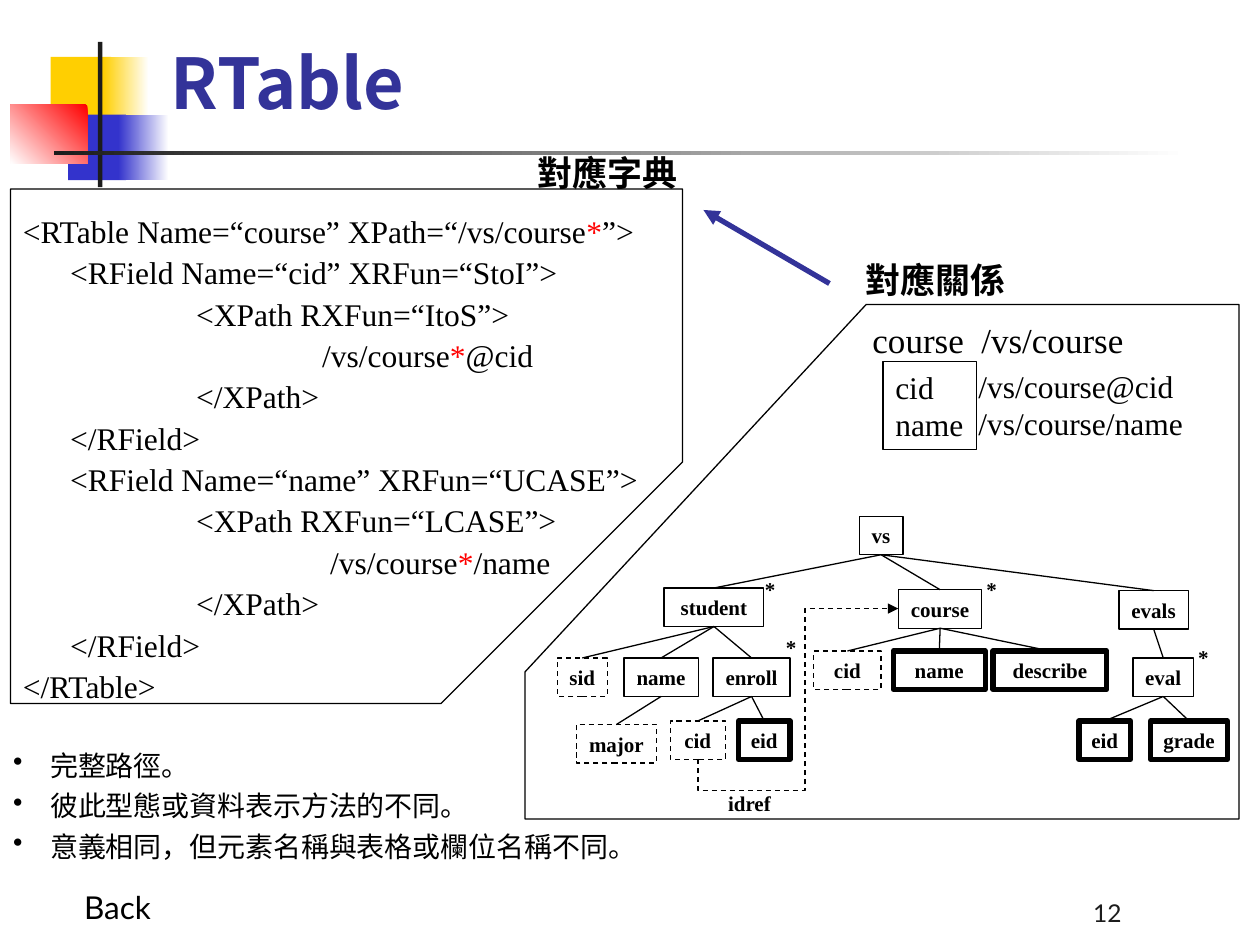
from lxml import etree
from pptx import Presentation
from pptx.dml.color import RGBColor
from pptx.enum import dml, shapes, text
from pptx.oxml import ns
from pptx.util import Pt

THEME = {
    "ink": "000000", "dark": "1C1C1C", "navy": "333399", "blue": "3333CC",
    "red": "FF0000", "gold": "FFCF01", "white": "FFFFFF",
    "serif": "Times New Roman", "sans": "Lato", "head": "Noto Sans CJK SC",
    "title": 40, "large": 20, "code": 18, "list": 16, "page": 14, "node": 12,
    "thin": 0.75, "thick": 3,
}

DECOR = [
    (29, 32.5, 34.5, 37.5, "gold", None, 0),
    (59, 32.5, 26, 37.5, "white", "gold", 180),
    (39, 65.5, 33, 37.5, "blue", None, 0),
    (67.5, 65.5, 29, 37.5, "white", "blue", 180),
    (6, 60, 44, 33.5, "red", "white", 225),
    (56, 24, 2.5, 83, "dark", None, 0),
    (31, 86.4, 648, 2.2, "white", "dark", 180),
]
CODE = [
    (0, "<RTable Name=“course” XPath=“/vs/course*”>"),
    (1, "<RField Name=“cid” XRFun=“StoI”>"),
    (2, "<XPath RXFun=“ItoS”>"),
    (3, "/vs/course*@cid"),
    (2, "</XPath>"), (1, "</RField>"),
    (1, "<RField Name=“name” XRFun=“UCASE”>"),
    (2, "<XPath RXFun=“LCASE”>"),
    (3, " /vs/course*/name"),
    (2, "</XPath>"), (1, "</RField>"), (0, "</RTable>"),
]
STEPS = [0, 27, 99, 171]
POINTS = [" 完整路徑。", " 彼此型態或資料表示方法的不同。",
          " 意義相同，但元素名稱與表格或欄位名稱不同。"]
FRAMES = [
    [(6, 402), (252, 402), (390, 264), (390, 108), (6, 108)],
    [(300, 384), (495, 174), (708, 174), (708, 468), (300, 468)],
]
TREE = [
    ("vs", "vs", None, "plain", 491, 295, 25),
    ("student", "student", "vs", "plain", 379.5, 336, 57),
    ("course", "course", "vs", "plain", 513.5, 337, 47.5),
    ("evals", "evals", "vs", "plain", 639.5, 337.5, 39.5),
    ("sid", "sid", "student", "dash", 318.5, 376, 28.5),
    ("sname", "name", "student", "plain", 356.5, 376, 42.5),
    ("enroll", "enroll", "student", "plain", 407.5, 376, 44),
    ("cid", "cid", "course", "dash", 465, 372, 38.5),
    ("cname", "name", "course", "bold", 510.5, 372, 52.5),
    ("about", "describe", "course", "bold", 567.5, 372, 65),
    ("eval", "eval", "evals", "plain", 647.5, 376, 34.5),
    ("major", "major", "sname", "dash", 329.5, 414, 45.5),
    ("ref", "cid", "enroll", "dash", 383, 412, 31.5),
    ("eid", "eid", "enroll", "bold", 422, 412, 29.5),
    ("test", "eid", "eval", "bold", 616.5, 412, 29.5),
    ("grade", "grade", "eval", "bold", 657.5, 412, 44),
]
STARS = [(430, 326), (442, 359), (556.5, 326), (677.5, 364.5)]

deck = Presentation()
deck.slide_width, deck.slide_height = Pt(720), Pt(540)
page = deck.slides.add_slide(deck.slide_layouts[6]).shapes


def tint(name):
    return RGBColor.from_string(THEME[name])


def tag(root, kind, **attrs):
    return etree.SubElement(root, ns.qn(kind), **attrs)


def block(x, y, w, h):
    box = page.add_shape(shapes.MSO_SHAPE.RECTANGLE, Pt(x), Pt(y), Pt(w), Pt(h))
    box.shadow.inherit = False
    box.fill.background()
    return box


def edge(line, width="thin", dash=False, color="ink"):
    line.color.rgb = tint(color)
    line.width = Pt(THEME[width])
    if dash:
        line.dash_style = dml.MSO_LINE.DASH


def say(words, x=0, y=0, w=0, h=0, size="node", face="serif", color="ink",
        bold=False, align="LEFT", anchor="TOP", wrap=False, gap=0, lead=None,
        steps=None, bullet=None, box=None):
    box = box or page.add_textbox(Pt(x), Pt(y), Pt(w), Pt(h))
    frame = box.text_frame
    frame.word_wrap = wrap
    frame.vertical_anchor = getattr(text.MSO_ANCHOR, anchor)
    for i, row in enumerate([words] if isinstance(words, str) else words):
        para = frame.add_paragraph() if i else frame.paragraphs[0]
        para.alignment = getattr(text.PP_ALIGN, align)
        para.space_before = Pt(gap if i else 0)
        if lead:
            para.line_spacing = lead
        props = para._p.get_or_add_pPr()
        if steps:
            props.set("marL", str(Pt(steps[i])))
        if bullet:
            props.set("indent", str(-Pt(steps[i])))
            tag(props, "a:buChar", char=bullet)
        for j, part in enumerate(row.split("\n")):
            if j:
                para.add_line_break()
            bits = part.replace("*", "\t*\t").split("\t") if lead else [part]
            for bit in bits:
                run = para.add_run()
                run.text = bit
                font = run.font
                font.name, font.size, font.bold = THEME[face], Pt(THEME[size]), bold
                font.color.rgb = tint("red" if lead and bit == "*" else color)
                tag(run._r.get_or_add_rPr(), "a:ea", typeface=THEME[face])


def link(kind="STRAIGHT", ends=(0, 0, 0, 0), head=False, **look):
    wire = page.add_connector(getattr(shapes.MSO_CONNECTOR, kind), *map(Pt, ends))
    edge(wire.line, **look)
    if head:
        tag(wire._element.spPr.find(ns.qn("a:ln")), "a:tailEnd", type="triangle")
    tag(wire._element.spPr, "a:effectLst")
    return wire


for x, y, w, h, first, last, turn in DECOR:
    box = block(x, y, w, h)
    box.line.fill.background()
    if last:
        box.fill.gradient()
        box.fill.gradient_angle = turn
        for stop, name in zip(box.fill.gradient_stops, (first, last)):
            stop.color.rgb = tint(name)
    else:
        box.fill.solid()
        box.fill.fore_color.rgb = tint(first)

for spots in FRAMES:
    spots = [(Pt(x), Pt(y)) for x, y in spots]
    pen = page.build_freeform(*spots[0])
    pen.add_line_segments(spots[1:], close=True)
    frame = pen.convert_to_shape()
    frame.shadow.inherit = False
    frame.fill.background()
    edge(frame.line)

say("RTable", 90.5, 12, 623.5, 62, size="title", face="head", color="navy",
    bold=True, anchor="BOTTOM", wrap=True)
say([row for _, row in CODE], 6, 120, 378, 282, size="code", wrap=True, gap=4.2,
    lead=0.9, steps=[STEPS[level] for level, _ in CODE])
say(POINTS, 0.5, 424, 359.5, 73, size="list", face="sans", wrap=True, gap=4,
    steps=[17] * len(POINTS), bullet="•")
say("Back", 41, 504, 54, 29, size="code", face="sans")
say("12", 498, 497.5, 150, 36, size="page", face="sans", color="dark",
    align="RIGHT", anchor="BOTTOM", wrap=True)
for label, x, y in [("對應字典", 300, 83), ("對應關係", 487.5, 144)]:
    say(label, x, y, 94.5, 31.5, size="large", face="sans", bold=True)
say("course  /vs/course", 491.5, 178.5, 158, 31.5, size="large")
say("/vs/course@cid\n/vs/course/name", 552, 206, 168, 50.5, size="code", wrap=True)
box = block(504.5, 206.5, 53.5, 50.5)
edge(box.line)
say("cid\nname", size="code", box=box)

nodes = {}
for key, label, above, style, x, y, w in TREE:
    box = nodes[key] = block(x, y, w, 22)
    edge(box.line, "thick" if style == "bold" else "thin", style == "dash")
    say(label, bold=True, align="CENTER", anchor="MIDDLE", box=box)
    if above:
        wire = link()
        wire.begin_connect(nodes[above], 2)
        wire.end_connect(box, 0)
for x, y in STARS:
    say("*", x, y, 29, 22, bold=True, wrap=True)
say("idref", 409, 448, 39, 22, bold=True)
link(ends=(474, 162, 402, 120), head=True, width="thick", color="navy")

wire = link("ELBOW", head=True, dash=True)
wire.begin_connect(nodes["ref"], 2)
wire.end_connect(nodes["course"], 1)
wire.left, wire.top, wire.width, wire.height = Pt(413), Pt(333.5), Pt(86), Pt(114.5)
form = wire._element.spPr.find(ns.qn("a:xfrm"))
for name, value in [("rot", "5400000"), ("flipH", "1"), ("flipV", "1")]:
    form.set(name, value)
shape = wire._element.spPr.find(ns.qn("a:prstGeom"))
shape.set("prst", "bentConnector4")
for name, value in [("adj1", -20800), ("adj2", 53500)]:
    tag(shape.find(ns.qn("a:avLst")), "a:gd", name=name, fmla=f"val {value}")

deck.save("out.pptx")
